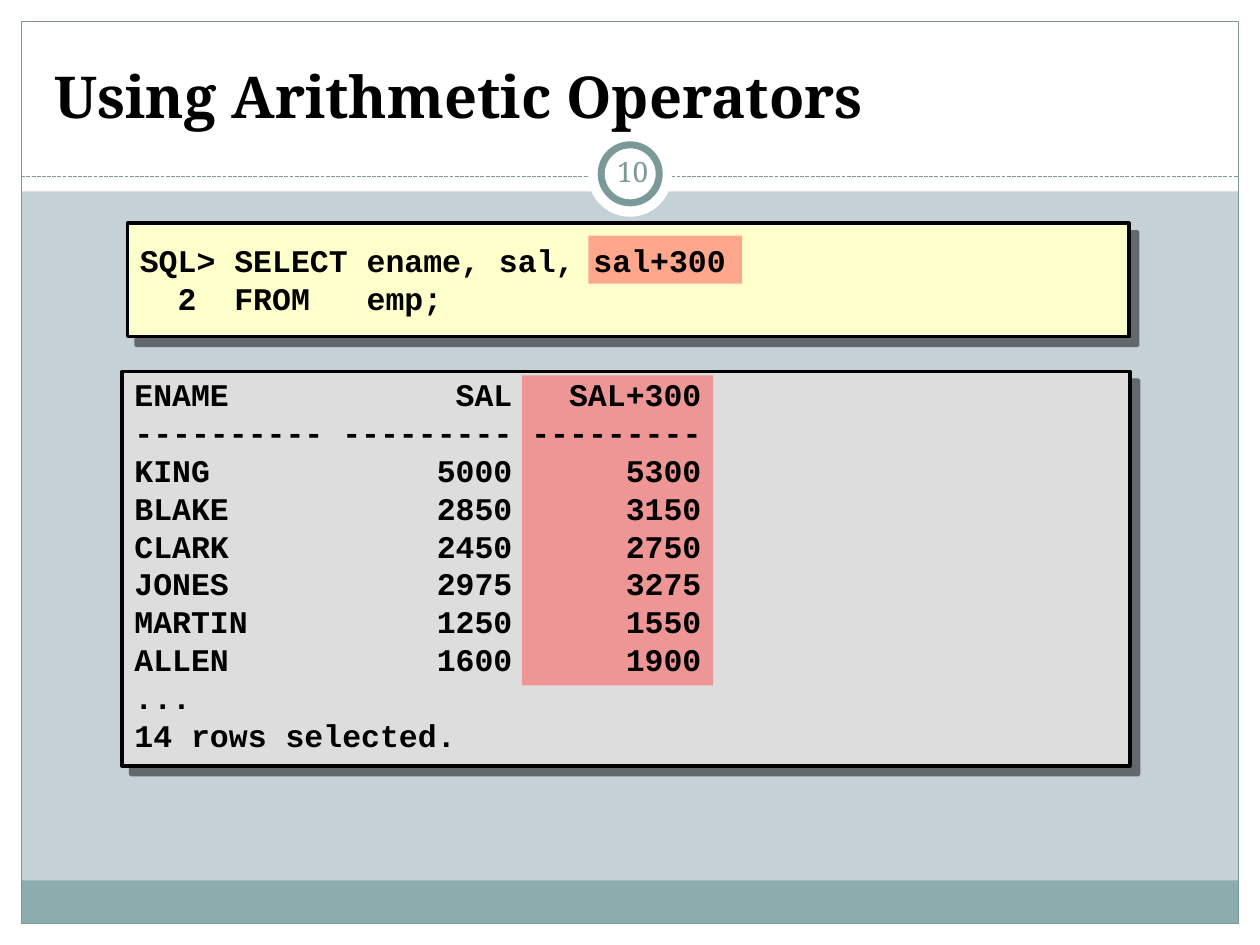
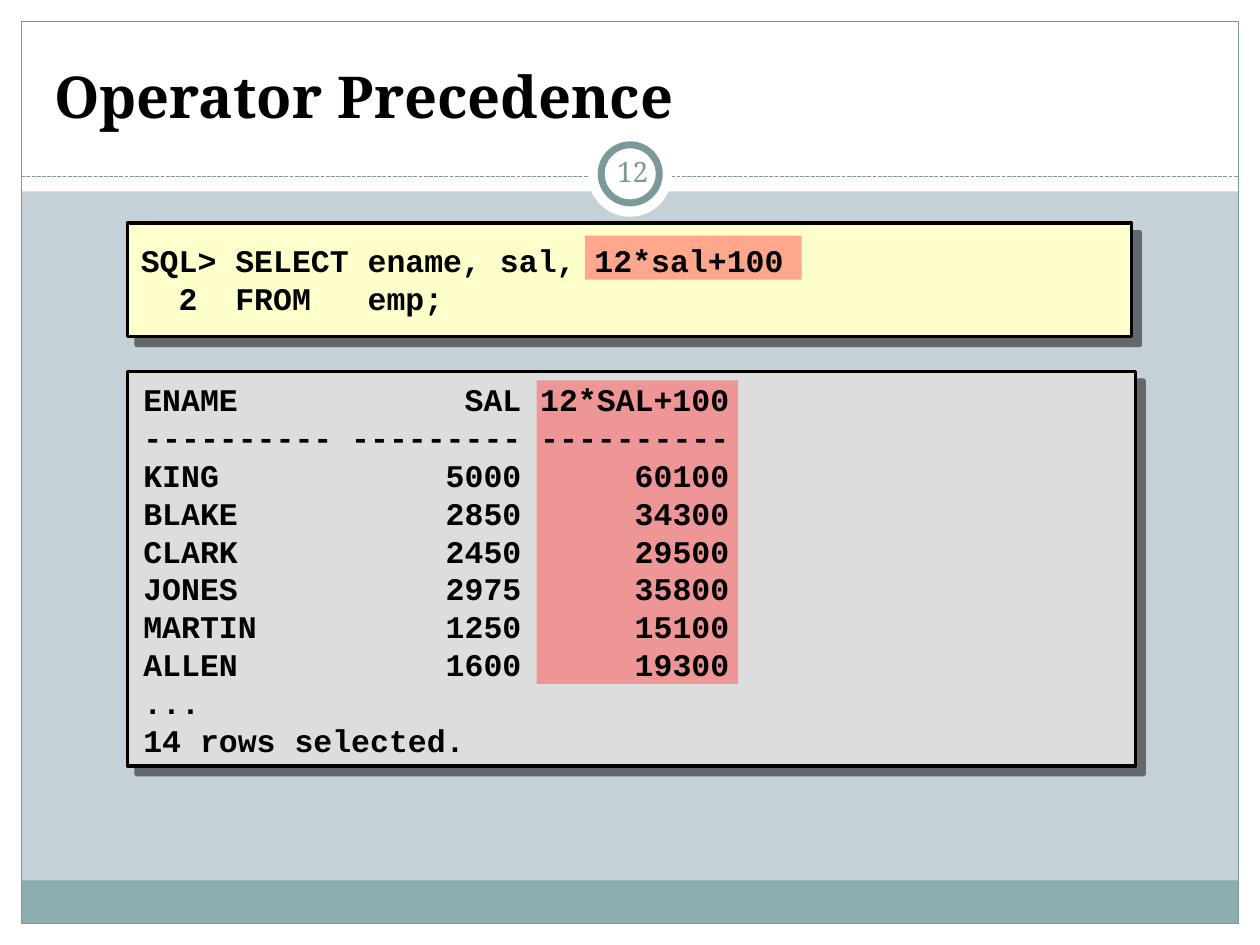
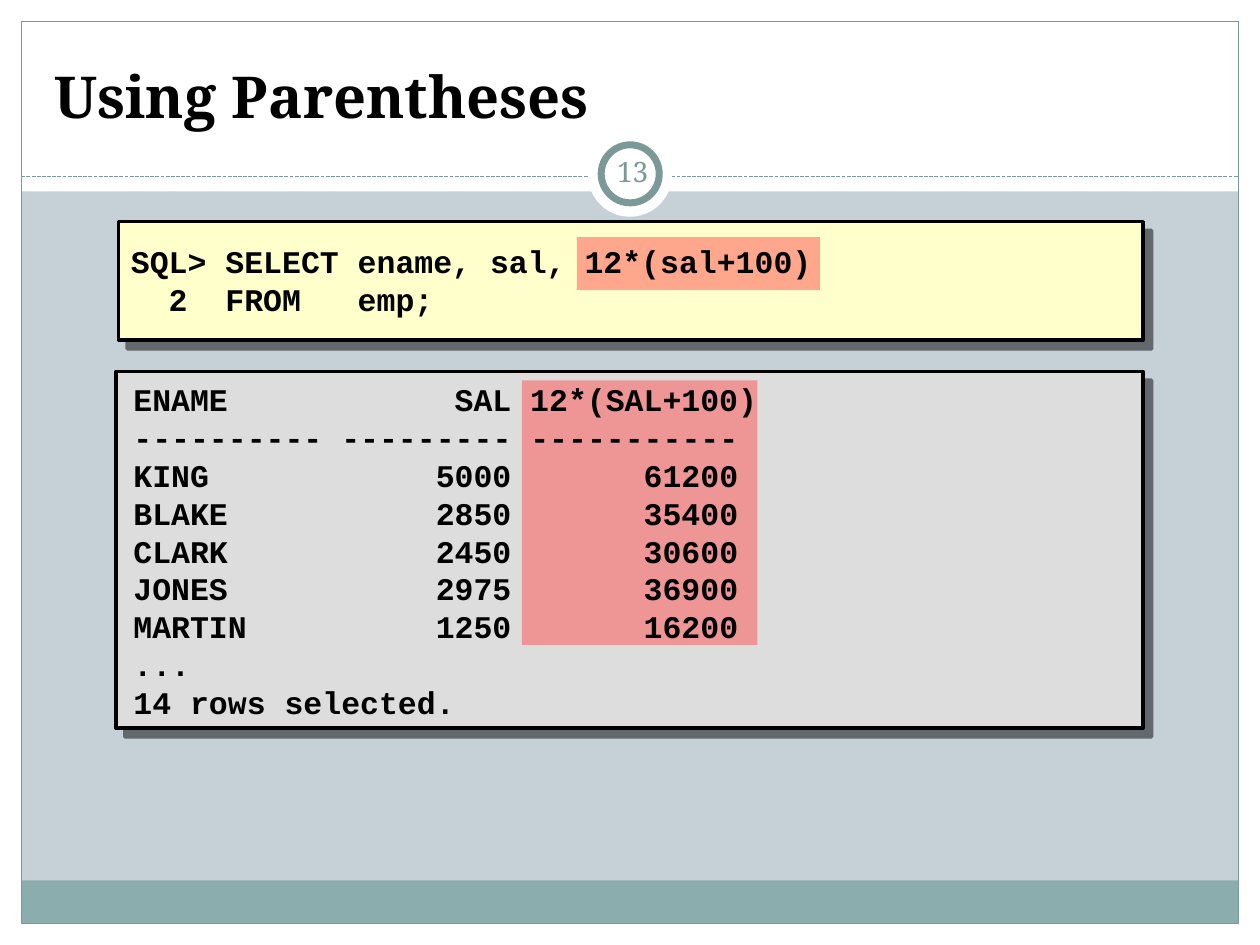
"""Build three slides on arithmetic expressions in SQL queries."""
import pptx
import pptx.dml.color
import pptx.enum.dml
import pptx.enum.shapes
import pptx.enum.text
import pptx.oxml
import pptx.oxml.ns
import pptx.util
from lxml import etree

Cm = pptx.util.Cm
Pt = pptx.util.Pt
RGB = pptx.dml.color.RGBColor
Shape = pptx.enum.shapes.MSO_SHAPE
Anchor = pptx.enum.text.MSO_ANCHOR
Align = pptx.enum.text.PP_ALIGN
qn = pptx.oxml.ns.qn

BACKDROP = RGB(0xC5, 0xD1, 0xD7)
WHITE = RGB(0xFF, 0xFF, 0xFF)
BLACK = RGB(0x00, 0x00, 0x00)
TEAL = RGB(0x7C, 0x99, 0x9A)
FOOTER = RGB(0x8C, 0xAD, 0xAE)
CREAM = RGB(0xFF, 0xFF, 0xCC)
GREY = RGB(0xDD, 0xDD, 0xDD)
RED = RGB(0xFF, 0x50, 0x50)

TITLE_FONT = {"name": "Noto Serif", "size": Pt(33), "bold": True}
NUMBER_FONT = {"name": "Noto Serif", "size": Pt(16), "bold": False}
CODE_FONT = {"name": "Courier New", "size": Pt(18), "bold": True}
CHARACTER = Pt(10.8)

WIDTH, HEIGHT = 25.4, 19.05
EDGE = 0.43
RIGHT, BOTTOM = WIDTH - EDGE, HEIGHT - EDGE
RULE_TOP = 3.56
WHITE_BANDS = (
    (0, BOTTOM, WIDTH, EDGE),
    (0, 0, WIDTH, 3.86),
    (0, 0, EDGE, HEIGHT),
    (RIGHT, 0, EDGE, HEIGHT),
)

SALARIES = (("KING", 5000), ("BLAKE", 2850), ("CLARK", 2450),
            ("JONES", 2975), ("MARTIN", 1250), ("ALLEN", 1600))
SALARY_END = 20
EXPRESSION_START = SALARY_END + 1

LESSONS = (
    {"title": "Using Arithmetic Operators", "number": 10,
     "expression": "sal+300", "compute": lambda sal: sal + 300,
     "dashes": 9, "employees": 6,
     "query_panel": (2.57, 4.5, 20.19, 2.29),
     "result_panel": (2.46, 7.49, 20.32, 7.95),
     "query_mark": (11.86, 4.75, 3.1, 0.97),
     "result_mark": (10.52, 7.57, 3.86, 6.25),
     "query_text": (2.57, 4.45, 20.24, 2.36),
     "result_text": (2.46, 7.44, 20.4, 7.87)},
    {"title": "Operator Precedence", "number": 12,
     "expression": "12*sal+100", "compute": lambda sal: 12 * sal + 100,
     "dashes": 10, "employees": 6,
     "query_panel": (2.57, 4.5, 20.24, 2.29),
     "result_panel": (2.57, 7.49, 20.32, 7.95),
     "query_mark": (11.79, 4.75, 4.37, 0.89),
     "result_mark": (10.82, 7.67, 4.06, 6.12),
     "query_text": (2.59, 4.45, 20.32, 2.36),
     "result_text": (2.64, 7.54, 20.24, 7.87)},
    {"title": "Using Parentheses", "number": 13,
     "expression": "12*(sal+100)", "compute": lambda sal: 12 * (sal + 100),
     "dashes": 11, "employees": 5,
     "query_panel": (2.39, 4.47, 20.65, 2.39),
     "result_panel": (2.34, 7.49, 20.7, 7.19),
     "query_mark": (11.63, 4.78, 4.9, 1.07),
     "result_mark": (10.52, 7.67, 4.75, 5.33),
     "query_text": (2.39, 4.42, 20.73, 2.46),
     "result_text": (2.44, 7.54, 20.62, 7.11)},
)


def apply(target, values):
    for name, value in values.items():
        setattr(target, name, value)


class Deck:
    def __init__(self):
        self.presentation = pptx.Presentation()
        apply(self.presentation,
              {"slide_width": Cm(WIDTH), "slide_height": Cm(HEIGHT)})
        backdrop = self.presentation.slide_master.background.fill
        backdrop.solid()
        backdrop.fore_color.rgb = BACKDROP
        self.slide = None

    def start_slide(self):
        layout = self.presentation.slide_layouts[5]
        self.slide = self.presentation.slides.add_slide(layout)

    def shape(self, box, fill=None, line=None, weight=0.75, kind=Shape.RECTANGLE):
        shape = self.slide.shapes.add_shape(kind, *map(Cm, box))
        shape.shadow.inherit = False
        if fill is None:
            shape.fill.background()
        else:
            shape.fill.solid()
            shape.fill.fore_color.rgb = fill
        if line is None:
            shape.line.fill.background()
        else:
            shape.line.color.rgb = line
            shape.line.width = Pt(weight)
        return shape

    def panel(self, box, fill):
        panel = self.shape(box, fill, BLACK, 2)
        effects = panel.element.spPr.find(qn("a:effectLst"))
        shadow = etree.SubElement(effects, qn("a:outerShdw"), blurRad="0",
                                  dist=str(Pt(7.1)), dir="2700000",
                                  algn="ctr", rotWithShape="0")
        color = etree.SubElement(shadow, qn("a:srgbClr"), val=str(BLACK))
        etree.SubElement(color, qn("a:alpha"), val="50000")

    def highlight(self, box):
        mark = self.shape(box, RED)
        color = mark.element.spPr.find(qn("a:solidFill")).find(qn("a:srgbClr"))
        etree.SubElement(color, qn("a:alpha"), val="50000")

    def dashed_rule(self, left, right, top):
        rule = self.slide.shapes.add_connector(
            pptx.enum.shapes.MSO_CONNECTOR.STRAIGHT,
            Cm(left), Cm(top), Cm(right), Cm(top))
        rule.line.color.rgb = TEAL
        apply(rule.line, {"width": Pt(0.75),
                          "dash_style": pptx.enum.dml.MSO_LINE.SQUARE_DOT})
        etree.SubElement(rule.element.spPr, qn("a:effectLst"))

    def add_words(self, paragraph, words, font, color, align=Align.LEFT):
        paragraph.alignment = align
        run = paragraph.add_run()
        run.text = words
        apply(run.font, font)
        run.font.color.rgb = color

    def text_frame(self, box, anchor, side):
        frame = self.slide.shapes.add_textbox(*map(Cm, box)).text_frame
        apply(frame, {"word_wrap": True, "vertical_anchor": anchor,
                      "margin_left": Cm(side), "margin_right": Cm(side),
                      "margin_top": Cm(0.13), "margin_bottom": Cm(0.13)})
        return frame

    def code(self, box, lines, anchor):
        frame = self.text_frame(box, anchor, 0.25)
        for index, (words, stops) in enumerate(lines):
            paragraph = frame.add_paragraph() if index else frame.paragraphs[0]
            self.add_words(paragraph, words, CODE_FONT, BLACK)
            if stops:
                properties = paragraph._p.get_or_add_pPr()
                tabs = etree.SubElement(properties, qn("a:tabLst"))
                for column, side in stops:
                    etree.SubElement(tabs, qn("a:tab"),
                                     pos=str(column * CHARACTER), algn=side)

    def title(self, words):
        title = self.slide.shapes.title
        apply(title, {"left": Cm(0.84), "top": Cm(0.64),
                      "width": Cm(23.7), "height": Cm(2.11)})
        apply(title.text_frame, {"vertical_anchor": Anchor.BOTTOM,
                                 "auto_size": pptx.enum.text.MSO_AUTO_SIZE.NONE})
        self.add_words(title.text_frame.paragraphs[0], words, TITLE_FONT, BLACK)
        title.element.getparent().append(title.element)

    def frame(self):
        for band in WHITE_BANDS:
            self.shape(band, WHITE)
        self.shape((EDGE, 17.75, RIGHT - EDGE, 0.87), FOOTER)
        self.shape((EDGE, EDGE, RIGHT - EDGE, BOTTOM - EDGE), line=TEAL)
        self.dashed_rule(EDGE, RIGHT, RULE_TOP)
        self.shape((11.85, 2.67, 1.7, 1.7), WHITE, kind=Shape.OVAL)
        self.shape((12.12, 2.92, 1.17, 1.17), WHITE, TEAL, 4, Shape.OVAL)

    def page_number(self, number):
        frame = self.text_frame((12.12, 2.84, 1.27, 1.22), Anchor.MIDDLE, 0.13)
        self.add_words(frame.paragraphs[0], str(number), NUMBER_FONT, TEAL, Align.CENTER)


def query_lines(expression):
    return ((f"SQL> SELECT ename, sal, {expression}", ()),
            ("\t2\tFROM\temp;", ((3, "r"), (5, "l"), (12, "l"))))


def result_lines(lesson):
    heading = lesson["expression"].upper()
    value_end = EXPRESSION_START + lesson["dashes"]
    heading_end = max(value_end, EXPRESSION_START + len(heading))
    lines = [(f"ENAME\tSAL\t{heading}", ((SALARY_END, "r"), (heading_end, "r"))),
             (" ".join("-" * count for count in (10, 9, lesson["dashes"])), ())]
    for employee, salary in SALARIES[:lesson["employees"]]:
        lines.append((f"{employee}\t{salary}\t{lesson['compute'](salary)}",
                      ((SALARY_END, "r"), (value_end, "r"))))
    return lines + [("...", ()), ("14 rows selected.", ())]


def main():
    deck = Deck()
    for lesson in LESSONS:
        deck.start_slide()
        deck.frame()
        deck.panel(lesson["query_panel"], CREAM)
        deck.panel(lesson["result_panel"], GREY)
        deck.title(lesson["title"])
        deck.highlight(lesson["query_mark"])
        deck.highlight(lesson["result_mark"])
        deck.code(lesson["query_text"], query_lines(lesson["expression"]), Anchor.MIDDLE)
        deck.code(lesson["result_text"], result_lines(lesson), Anchor.TOP)
        deck.page_number(lesson["number"])
    deck.presentation.save("out.pptx")


if __name__ == "__main__":
    main()
